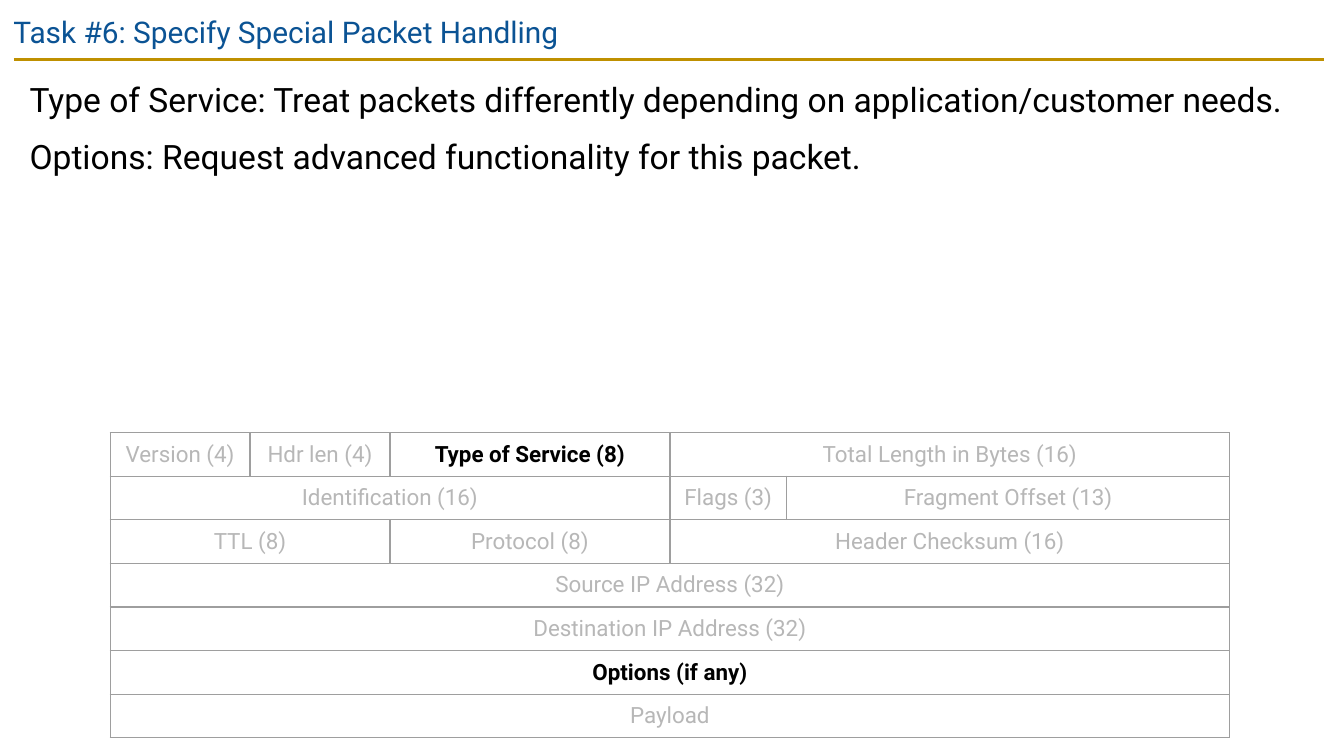
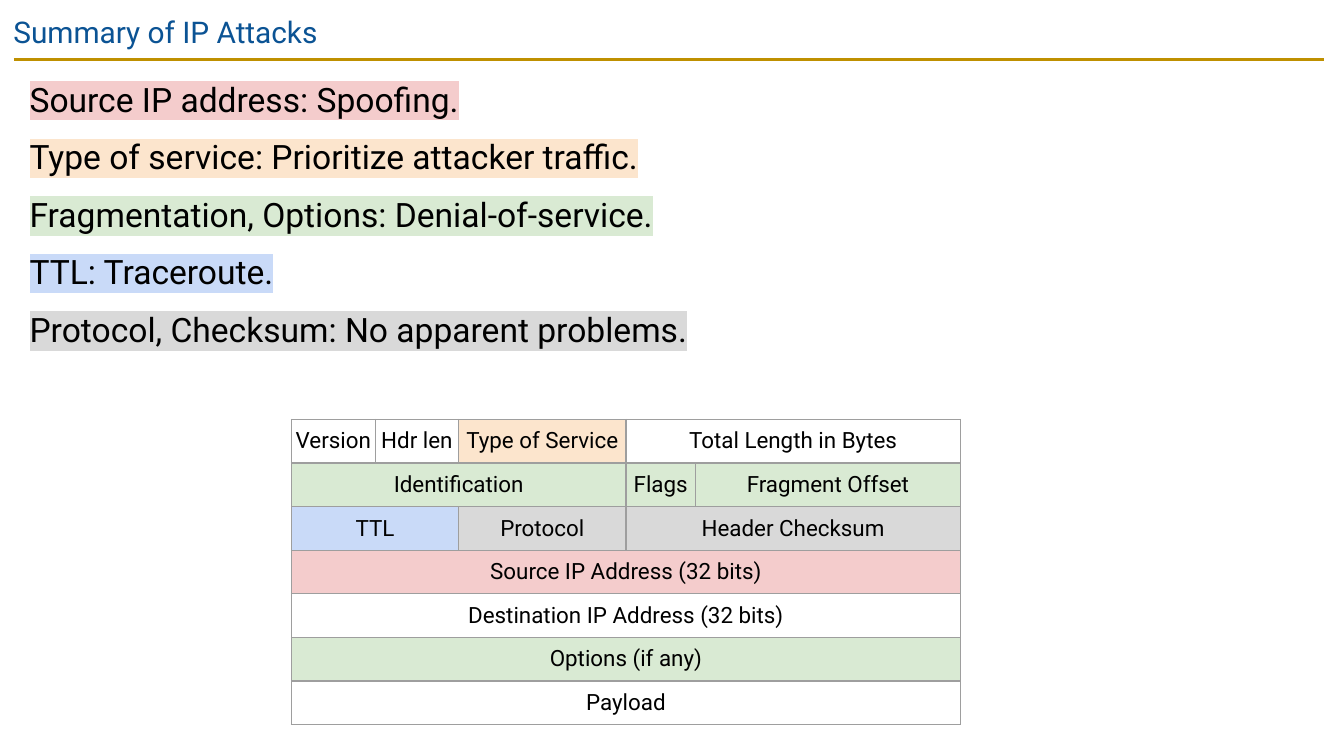
from dataclasses import dataclass

from lxml.etree import SubElement
from pptx import Presentation
from pptx.dml.color import RGBColor
from pptx.enum.shapes import MSO_CONNECTOR as Connector
from pptx.enum.text import MSO_ANCHOR as Anchor, MSO_AUTO_SIZE as AutoSize, PP_ALIGN as Align
from pptx.oxml.ns import qn
from pptx.util import Pt


@dataclass(frozen=True)
class Theme:
    """Fonts, type sizes and colours shared by the slides."""
    font: str = "Roboto"
    title_size: float = 16
    body_size: float = 18
    field_size: float = 12
    title: str = "0B5394"
    rule: str = "BF9000"
    ink: str = "000000"
    muted: str = "B7B7B7"
    border: str = "9E9E9E"
    red: str = "F4CCCC"
    orange: str = "FCE5CD"
    green: str = "D9EAD3"
    blue: str = "C9DAF8"
    grey: str = "D9D9D9"


@dataclass(frozen=True)
class Field:
    """One field of the IP header and the table columns it covers."""
    name: str
    bits: int
    columns: int


THEME = Theme()
COLUMN_WEIGHTS = (12, 12, 12, 12, 10, 14, 12, 12)
ROW_HEIGHT = 23.36
IP_HEADER = (
    (Field("Version", 4, 1), Field("Hdr len", 4, 1),
     Field("Type of Service", 8, 2), Field("Total Length in Bytes", 16, 4)),
    (Field("Identification", 16, 4), Field("Flags", 3, 1), Field("Fragment Offset", 13, 3)),
    (Field("TTL", 8, 2), Field("Protocol", 8, 2), Field("Header Checksum", 16, 4)),
    (Field("Source IP Address", 32, 8),),
    (Field("Destination IP Address", 32, 8),),
    (Field("Options (if any)", 0, 8),),
    (Field("Payload", 0, 8),),
)
ATTACKS = (
    ("Source IP address: Spoofing.", THEME.red),
    ("Type of service: Prioritize attacker traffic.", THEME.orange),
    ("Fragmentation, Options: Denial-of-service.", THEME.green),
    ("TTL: Traceroute.", THEME.blue),
    ("Protocol, Checksum: No apparent problems.", THEME.grey),
)
ATTACK_FILLS = {
    "Type of Service": THEME.orange,
    "Identification": THEME.green,
    "Flags": THEME.green,
    "Fragment Offset": THEME.green,
    "TTL": THEME.blue,
    "Protocol": THEME.grey,
    "Header Checksum": THEME.grey,
    "Source IP Address": THEME.red,
    "Options (if any)": THEME.green,
}


def write(paragraph, text, *, size, color=THEME.ink, bold=False, align=Align.LEFT, highlight=None):
    """Write formatted text into a paragraph."""
    paragraph.alignment = align
    run = paragraph.add_run()
    run.text = text
    run.font.name = THEME.font
    run.font.size = Pt(size)
    run.font.bold = bold
    run.font.color.rgb = RGBColor.from_string(color)
    if highlight:
        properties = run._r.get_or_add_rPr()
        marker = SubElement(properties, qn("a:highlight"))
        SubElement(marker, qn("a:srgbClr"), val=highlight)
        properties.find(qn("a:solidFill")).addnext(marker)


def place(holder, left, top, width, height):
    """Move a placeholder and return its prepared text frame."""
    holder.left, holder.top, holder.width, holder.height = map(Pt, (left, top, width, height))
    frame = holder.text_frame
    frame.word_wrap = True
    frame.auto_size = AutoSize.NONE
    frame.vertical_anchor = Anchor.TOP
    frame.margin_left = frame.margin_right = frame.margin_top = frame.margin_bottom = Pt(7.2)
    return frame


def add_topic_slide(deck, title, statements, body_height):
    """Add a slide with a title and unbulleted, optionally highlighted statements."""
    slide = deck.slides.add_slide(deck.slide_layouts[1])
    heading = place(slide.shapes.title, 0, 0, 671, 31)
    write(heading.paragraphs[0], title, size=THEME.title_size, color=THEME.title)
    body = place(slide.placeholders[1], 8.64, 31.68, 701.28, body_height)
    for index, (statement, highlight) in enumerate(statements):
        paragraph = body.add_paragraph() if index else body.paragraphs[0]
        properties = paragraph._p.get_or_add_pPr()
        properties.set("marL", "0")
        properties.set("indent", "0")
        SubElement(properties, qn("a:buNone"))
        paragraph.line_spacing = 1.15
        paragraph.space_before = Pt(6 if index else 0)
        write(paragraph, statement, size=THEME.body_size, highlight=highlight)
    return slide


def add_title_rule(deck, slide):
    """Draw the rule under the title and hand it to the master."""
    rule = slide.shapes.add_connector(Connector.STRAIGHT, Pt(7.5), Pt(31.8), Pt(709.2), Pt(31.8))
    rule.line.color.rgb = RGBColor.from_string(THEME.rule)
    rule.line.width = Pt(1.5)
    SubElement(rule.element.spPr, qn("a:effectLst"))
    deck.slide_master.shapes.element.append(rule.element)


def style_cell(cell, fill):
    """Set a cell's fill, borders, margins and anchor."""
    if fill:
        cell.fill.solid()
        cell.fill.fore_color.rgb = RGBColor.from_string(fill)
    else:
        cell.fill.background()
    cell.vertical_anchor = Anchor.MIDDLE
    cell.margin_left = cell.margin_right = cell.margin_top = cell.margin_bottom = Pt(2)
    properties = cell._tc.get_or_add_tcPr()
    for position, side in enumerate(("lnL", "lnR", "lnT", "lnB")):
        edge = SubElement(properties, qn(f"a:{side}"), w=str(Pt(0.75)))
        SubElement(SubElement(edge, qn("a:solidFill")), qn("a:srgbClr"), val=THEME.border)
        properties.insert(position, edge)


def add_header_table(slide, left, top, width, label, fills=None, emphasis=None):
    """Draw the IP header; with emphasis, only the named fields stand out."""
    fills = fills or {}
    table = slide.shapes.add_table(
        len(IP_HEADER), len(COLUMN_WEIGHTS), Pt(left), Pt(top),
        Pt(width), Pt(ROW_HEIGHT * len(IP_HEADER))).table
    table.first_row = table.horz_banding = False
    for column, weight in zip(table.columns, COLUMN_WEIGHTS):
        column.width = Pt(width * weight / sum(COLUMN_WEIGHTS))
    for row, fields in enumerate(IP_HEADER):
        table.rows[row].height = Pt(ROW_HEIGHT)
        start = 0
        for field in fields:
            end = start + field.columns
            for column in range(start, end):
                style_cell(table.cell(row, column), fills.get(field.name))
            cell = table.cell(row, start)
            if field.columns > 1:
                cell.merge(table.cell(row, end - 1))
            muted = emphasis is not None and field.name not in emphasis
            write(cell.text_frame.paragraphs[0], label(field), size=THEME.field_size,
                  color=THEME.muted if muted else THEME.ink,
                  bold=emphasis is not None and not muted, align=Align.CENTER)
            start = end


def label_with_bits(field):
    """Name a field with its size in brackets."""
    return f"{field.name} ({field.bits})" if field.bits else field.name


def label_addresses(field):
    """Name a field, giving the size of full-width addresses only."""
    return f"{field.name} (32 bits)" if field.bits == 32 else field.name


def main():
    """Build and save both slides."""
    deck = Presentation()
    deck.slide_width, deck.slide_height = Pt(720), Pt(405)

    handling = add_topic_slide(deck, "Task #6: Specify Special Packet Handling", (
        ("Type of Service: Treat packets differently depending on application/customer needs.", None),
        ("Options: Request advanced functionality for this packet.", None),
    ), 191.5)
    add_title_rule(deck, handling)
    add_header_table(handling, 59, 231.8, 600, label_with_bits,
                     emphasis={"Type of Service", "Options (if any)"})

    summary = add_topic_slide(deck, "Summary of IP Attacks", ATTACKS, 178.5)
    add_header_table(summary, 156.2, 224.7, 358.5, label_addresses, fills=ATTACK_FILLS)

    deck.save("out.pptx")


if __name__ == "__main__":
    main()
